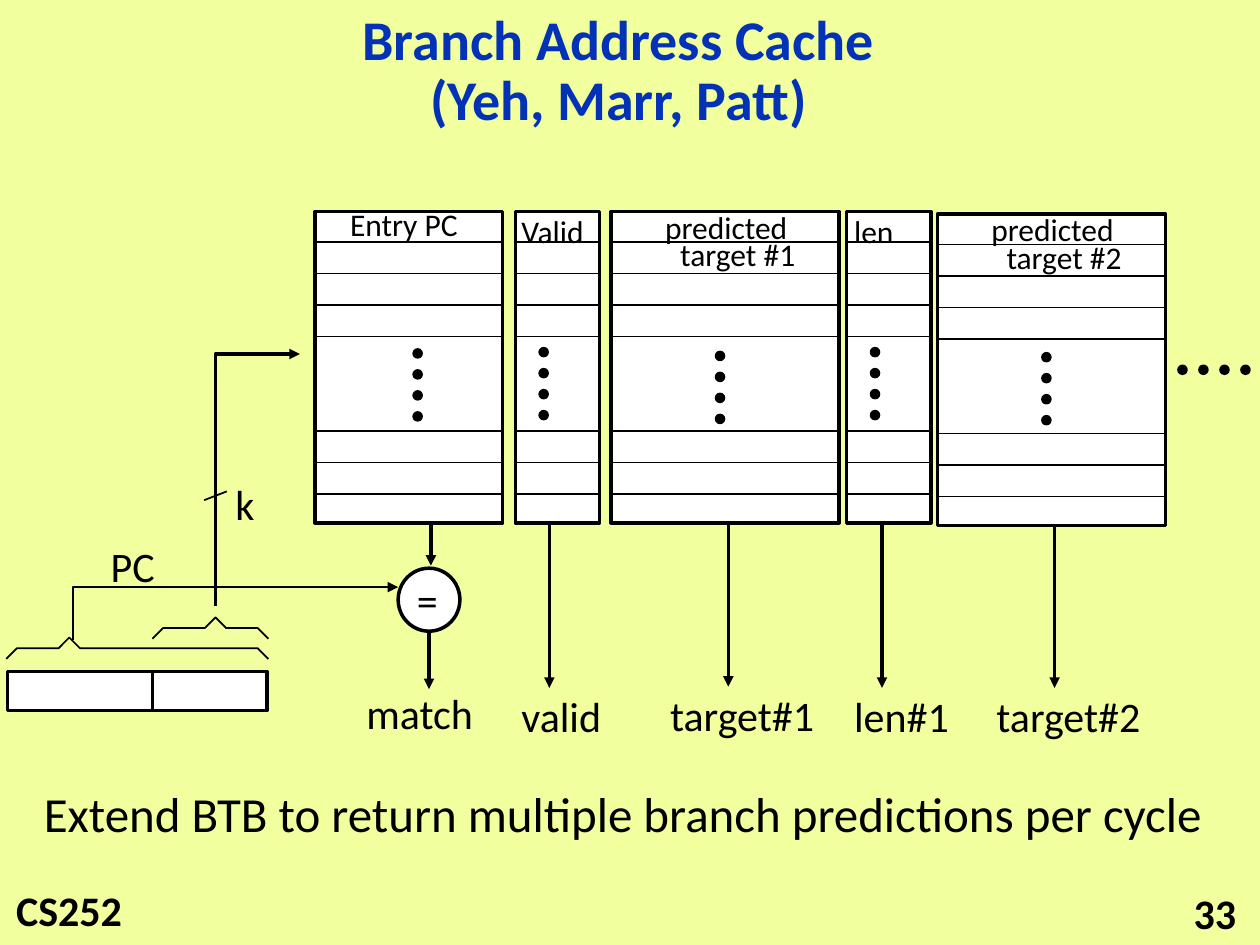
from collections import namedtuple

from lxml import etree
from pptx import Presentation
from pptx.dml.color import RGBColor
from pptx.enum.shapes import MSO_CONNECTOR, MSO_SHAPE
from pptx.enum.text import MSO_ANCHOR, MSO_AUTO_SIZE, PP_ALIGN
from pptx.oxml.ns import qn
from pptx.util import Inches, Pt

STRAIGHT = MSO_CONNECTOR.STRAIGHT
RECTANGLE, OVAL = MSO_SHAPE.RECTANGLE, MSO_SHAPE.OVAL
TOP, MIDDLE = MSO_ANCHOR.TOP, MSO_ANCHOR.MIDDLE
LEFT, CENTER, RIGHT = PP_ALIGN.LEFT, PP_ALIGN.CENTER, PP_ALIGN.RIGHT
GROW, FIXED = MSO_AUTO_SIZE.SHAPE_TO_FIT_TEXT, MSO_AUTO_SIZE.NONE

FONT = "Calibri"
BLACK, WHITE, BLUE, YELLOW = "000000", "FFFFFF", "0332B7", "F1FF9E"
ROW_HEIGHT = 0.25
HEADER_HEIGHT = 0.24
DIVIDER_ROWS = (0, 1, 2, 3, 6, 7, 8)
DOT_SIZE = 0.07
DOT_STEP = 0.5 / 3

Box = namedtuple("Box", "left top width height")
Label = namedtuple("Label", "text dx dy width")
Column = namedtuple("Column", "box headers dots_dx dots_dy arrow_dx arrow_end output")


def color(value):
    return RGBColor.from_string(value)


def style_line(line, width):
    line.color.rgb = color(BLACK)
    line.width = Pt(width)


def add_arrowhead(shape):
    outline = shape.line._get_or_add_ln()
    etree.SubElement(outline, qn("a:tailEnd"), type="triangle")


def add_text(page, box, text, size, ink=BLACK, bold=False, align=LEFT,
             anchor=TOP, wrap=False, fit=GROW, spacing=None):
    frame = page.shapes.add_textbox(*map(Inches, box)).text_frame
    frame.word_wrap = wrap
    frame.auto_size = fit
    frame.vertical_anchor = anchor
    para = frame.paragraphs[0]
    para.alignment = align
    if spacing:
        para.line_spacing = spacing
    for index, words in enumerate(text.split("\n")):
        if index:
            para.add_line_break()
        span = para.add_run()
        span.text = words
        span.font.name = FONT
        span.font.size = Pt(size)
        span.font.bold = bold
        span.font.color.rgb = color(ink)


def add_shape(page, kind, box, fill=WHITE, width=2):
    shape = page.shapes.add_shape(kind, *map(Inches, box))
    shape.shadow.inherit = False
    shape.fill.solid()
    shape.fill.fore_color.rgb = color(fill)
    style_line(shape.line, width)


def add_line(page, start, end, width=1, arrow=False):
    line = page.shapes.add_connector(STRAIGHT, *map(Inches, start + end))
    style_line(line.line, width)
    if arrow:
        add_arrowhead(line)
    etree.SubElement(line._element.spPr, qn("a:effectLst"))


def add_outline(page, points, width, arrow=False):
    points = [(Inches(x), Inches(y)) for x, y in points]
    builder = page.shapes.build_freeform(*points[0])
    builder.add_line_segments(points[1:], close=False)
    shape = builder.convert_to_shape()
    shape.shadow.inherit = False
    shape.fill.background()
    style_line(shape.line, width)
    if arrow:
        add_arrowhead(shape)


def add_dots(page, left, top, step_x, step_y):
    for index in range(4):
        box = Box(left + index * step_x, top + index * step_y, DOT_SIZE, DOT_SIZE)
        add_shape(page, OVAL, box, BLACK, 1)


def add_brace(page, box, peak):
    half = box.height / 2
    right, bottom, middle = box.left + box.width, box.top + box.height, box.top + half
    points = [(box.left, bottom), (box.left + half, middle), (peak - half, middle),
              (peak, box.top), (peak + half, middle), (right - half, middle),
              (right, bottom)]
    add_outline(page, points, 1)


def add_column(page, column):
    box = column.box
    bottom = box.top + box.height
    add_shape(page, RECTANGLE, box)
    for row in DIVIDER_ROWS:
        y = box.top + HEADER_HEIGHT + row * ROW_HEIGHT
        add_line(page, (box.left, y), (box.left + box.width, y))
    for header in column.headers:
        place = Box(box.left + header.dx, box.top + header.dy, header.width, 0.4)
        add_text(page, place, header.text, 18)
    add_dots(page, box.left + column.dots_dx, box.top + column.dots_dy, 0, DOT_STEP)
    x = box.left + column.arrow_dx
    add_line(page, (x, bottom), (x, column.arrow_end), 2, True)
    if column.output:
        output = column.output
        place = Box(box.left + output.dx, bottom + output.dy, output.width, 0.5)
        add_text(page, place, output.text, 24)


def add_program_counter(page, box):
    right = box.left + box.width
    split = box.left + 1.15
    add_shape(page, RECTANGLE, box)
    add_line(page, (split, box.top), (split, box.top + box.height), 2)
    add_brace(page, Box(split, box.top - 0.43, right - split + 0.01, 0.17), 1.71)
    add_brace(page, Box(box.left - 0.01, box.top - 0.27, box.width + 0.02, 0.17), 0.55)
    add_text(page, Box(box.left + 0.72, box.top - 1.09, 0.55, 0.5), "PC", 24)
    add_outline(page, [(1.71, 4.81), (1.71, 2.81), (2.38, 2.81)], 2, True)
    add_outline(page, [(0.58, 5.08), (0.58, 4.66), (3.16, 4.66)], 1.5, True)
    add_line(page, (1.8, 3.9), (1.62, 3.97))
    add_text(page, Box(1.77, 3.75, 0.3, 0.37), "k", 24)


def add_comparator(page, box):
    middle = box.left + box.width / 2
    bottom = box.top + box.height
    add_shape(page, OVAL, box)
    add_text(page, Box(box.left + 0.05, box.top, 0.37, 0.5), "=", 24)
    add_line(page, (middle, bottom), (middle, 5.47), 2, True)
    add_text(page, Box(box.left - 0.35, bottom + 0.4, 1.06, 0.5), "match", 24)


def target_headers(number, dx, dy):
    return (Label("predicted", dx, dy, 1.19),
            Label(f"target #{number}", dx + 0.12, dy + 0.22, 1.13))


COLUMNS = (
    Column(Box(2.5, 1.68, 1.49, 2.47), (Label("Entry PC", 0.18, -0.1, 1.07),),
           0.78, 1.09, 0.92, 4.49, None),
    Column(Box(4.09, 1.68, 0.67, 2.47), (Label("Valid", -0.05, -0.05, 0.71),),
           0.19, 1.08, 0.27, 5.46, Label("valid", -0.05, 1.28, 0.84)),
    Column(Box(4.85, 1.68, 1.81, 2.47), target_headers(1, 0.33, -0.08),
           0.83, 1.11, 0.93, 5.45, Label("target#1", 0.37, 1.27, 1.37)),
    Column(Box(6.72, 1.68, 0.67, 2.47), (Label("len", -0.04, -0.05, 0.52),),
           0.19, 1.08, 0.28, 5.46, Label("len#1", -0.04, 1.28, 0.96)),
    Column(Box(7.44, 1.7, 1.81, 2.47), target_headers(2, 0.33, -0.08),
           0.83, 1.1, 0.93, 5.46, Label("target#2", 0.37, 1.26, 1.37)),
)


def add_cache_slide(deck):
    page = deck.slides.add_slide(deck.slide_layouts[6])
    page.background.fill.solid()
    page.background.fill.fore_color.rgb = color(YELLOW)
    add_text(page, Box(0.92, 0.17, 7.98, 0.81), "Branch Address Cache\n(Yeh, Marr, Patt)",
             32, BLUE, True, CENTER, MIDDLE, True, FIXED, 0.9)
    add_program_counter(page, Box(0.06, 5.33, 2.06, 0.31))
    for column in COLUMNS:
        add_column(page, column)
    add_dots(page, 9.35, 2.9, DOT_STEP, 0)
    add_comparator(page, Box(3.16, 4.51, 0.49, 0.5))
    add_text(page, Box(0.25, 6.17, 9.53, 0.57),
             "Extend BTB to return multiple branch predictions per cycle", 28, wrap=True)
    add_text(page, Box(0.03, 6.97, 1.05, 0.5), "CS252", 24, bold=True)
    add_text(page, Box(7.83, 7.08, 2.08, 0.32), "33", 24, bold=True,
             align=RIGHT, anchor=MIDDLE, fit=FIXED)


def main():
    deck = Presentation()
    deck.slide_width = Inches(10)
    deck.slide_height = Inches(7.5)
    add_cache_slide(deck)
    deck.save("out.pptx")


if __name__ == "__main__":
    main()
